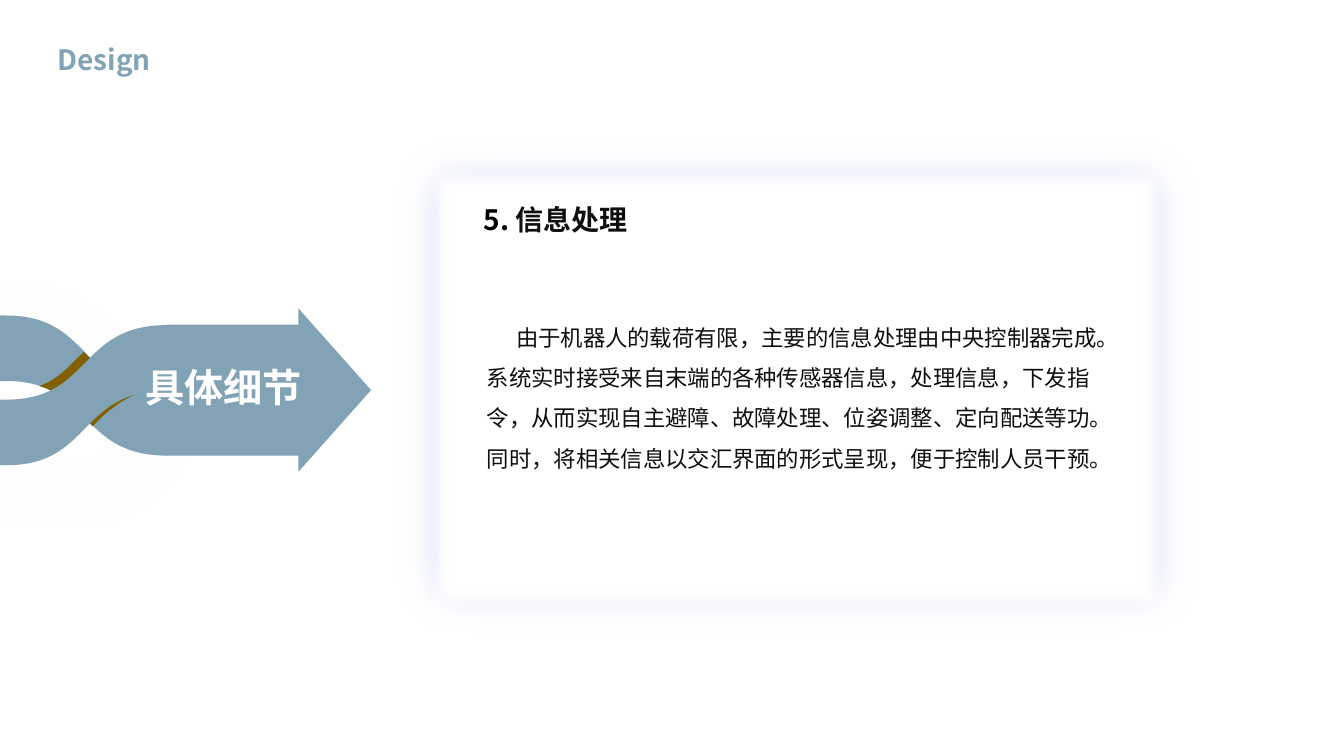
import lxml.etree
import pptx
import pptx.dml.color
import pptx.enum.shapes
import pptx.enum.text
import pptx.oxml.ns
import pptx.util

PX = 9144  # 100 px to the inch
CJK, LATIN = "Noto Sans CJK SC", "Cabin"
BLUE, BROWN, GHOST, HALO = "82A3B6", "806000", "FEFEFE", "DCE3F8"
WHITE, BLACK, INK = "FFFFFF", "000000", "0F0F0F"

# Outlines: a pair is a line end, six numbers are a cubic curve.
LOWER_GHOST = [(160, 400), (132, 427, 109, 458, 76, 458), (-3, 458), (-3, 523), (76, 523),
               (170, 523, 177, 423, 250, 423), (216, 421, 191, 421, 160, 400)]
UPPER_STRAND = [(166, 387), (77, 387, 92, 313, 6, 313), (-57, 313), (-57, 378), (6, 378),
                (92, 378, 77, 452, 166, 452)]
FOLD = [(83, 349), (82, 351, 80, 352, 78, 354), (66, 366, 56, 377, 39, 383),
        (65, 391, 75, 407, 92, 423), (101, 413, 122, 392, 151, 386),
        (116, 383, 100, 366, 83, 349)]
ARROW_HEAD = [(296, 306), (296, 468), (368, 387)]
ARROW_BODY = (165, 322, 136, 130)

# Box, fill, line width, soft edge radius in points
PANELS = [((381, 123, 819, 519), HALO, 2.25, 31), ((422, 161, 737, 449), WHITE, 4.5, 10)]

BODY = ("由于机器人的载荷有限，主要的信息处理由中央控制器完成。系统实时接受来自末端的各种传感器信息，"
        "处理信息，下发指令，从而实现自主避障、故障处理、位姿调整、定向配送等功。"
        "同时，将相关信息以交汇界面的形式呈现，便于控制人员干预。")
# Box, size, bold, runs of (text, font, colour)
ARROW_LABEL = ((134, 356, 194, 57), 28, True, [("具体细节", CJK, WHITE)])
HEADER = ((47, 37, 299, 44), 20, True, [("Design", CJK, BLUE)])
PANEL_TITLE = ((470, 196, 273, 44), 20, True, [("5. ", CJK, BLACK), ("信息处理", LATIN, INK)])
PANEL_BODY = ((473, 303, 628, 168), 16, False, [(BODY, LATIN, INK)])


def rgb(color):
    return pptx.dml.color.RGBColor.from_string(color)


def emu(box):
    return [round(v * PX) for v in box]


def sub(parent, tag, **attrs):
    return lxml.etree.SubElement(parent, pptx.oxml.ns.qn(tag), attrs)


def mirror(outline, dx, y_sum):
    """Flip an outline top to bottom and shift it sideways."""
    return [tuple(y_sum - v if i % 2 else v + dx for i, v in enumerate(step))
            for step in outline]


def paint(sp, color, alpha=100):
    sp.shadow.inherit = False
    sp.fill.solid()
    sp.fill.fore_color.rgb = rgb(color)
    sp.line.fill.background()
    if alpha < 100:
        clr = sp._element.spPr.find(".//" + pptx.oxml.ns.qn("a:srgbClr"))
        sub(clr, "a:alpha", val=str(alpha * 1000))


def add_outline(s, outline, color, alpha=100):
    """Lay all points as line ends, then gather each curve's three into one cubic."""
    points = [emu(step[i:i + 2]) for step in outline for i in range(0, len(step), 2)]
    builder = s.shapes.build_freeform(*points[0])
    builder.add_line_segments(points[1:], close=True)
    sp = builder.convert_to_shape()
    ends = iter(sp._element.spPr.findall(".//" + pptx.oxml.ns.qn("a:lnTo")))
    for step in outline[1:]:
        segment = next(ends)
        if len(step) == 6:
            curve = lxml.etree.Element(pptx.oxml.ns.qn("a:cubicBezTo"))
            segment.addprevious(curve)
            for part in (segment, next(ends), next(ends)):
                curve.append(part[0])
                part.getparent().remove(part)
    paint(sp, color, alpha)


def add_rect(s, box, color):
    sp = s.shapes.add_shape(pptx.enum.shapes.MSO_SHAPE.RECTANGLE, *emu(box))
    paint(sp, color)
    return sp


def add_panel(s, box, color, width, radius):
    sp = add_rect(s, box, color)
    sp.line.color.rgb = rgb(BLUE)
    sp.line.width = pptx.util.Pt(width)
    effects = sp._element.spPr.find(pptx.oxml.ns.qn("a:effectLst"))
    sub(effects, "a:softEdge", rad=str(int(pptx.util.Pt(radius))))


def add_text(s, box, size, bold, runs):
    tf = s.shapes.add_textbox(*emu(box)).text_frame
    tf.word_wrap = True
    tf.auto_size = pptx.enum.text.MSO_AUTO_SIZE.SHAPE_TO_FIT_TEXT
    p = tf.paragraphs[0]
    for text, font, color in runs:
        r = p.add_run()
        r.text = text
        r.font.size = pptx.util.Pt(size)
        r.font.bold = bold
        r.font.name = font
        r.font.color.rgb = rgb(color)
        sub(r._r.get_or_add_rPr(), "a:ea", typeface=CJK)
    return p


def main():
    prs = pptx.Presentation()
    prs.slide_width, prs.slide_height = emu((1333, 750))
    s = prs.slides.add_slide(prs.slide_layouts[6])

    add_outline(s, LOWER_GHOST, GHOST, 25)
    add_outline(s, mirror(LOWER_GHOST, -53, 804.5), GHOST, 60)
    add_rect(s, ARROW_BODY, BLUE)
    add_outline(s, ARROW_HEAD, BLUE)
    add_outline(s, UPPER_STRAND, BLUE)
    add_outline(s, FOLD, BROWN)
    add_outline(s, mirror(UPPER_STRAND, 0, 774.5), BLUE)
    add_text(s, *ARROW_LABEL)

    for panel in PANELS:
        add_panel(s, *panel)
    add_text(s, *HEADER).alignment = pptx.enum.text.PP_ALIGN.JUSTIFY
    add_text(s, *PANEL_TITLE)
    p = add_text(s, *PANEL_BODY)
    p.line_spacing = 1.5
    p._p.get_or_add_pPr().set("indent", str(29 * PX))

    prs.save("out.pptx")


if __name__ == "__main__":
    main()
